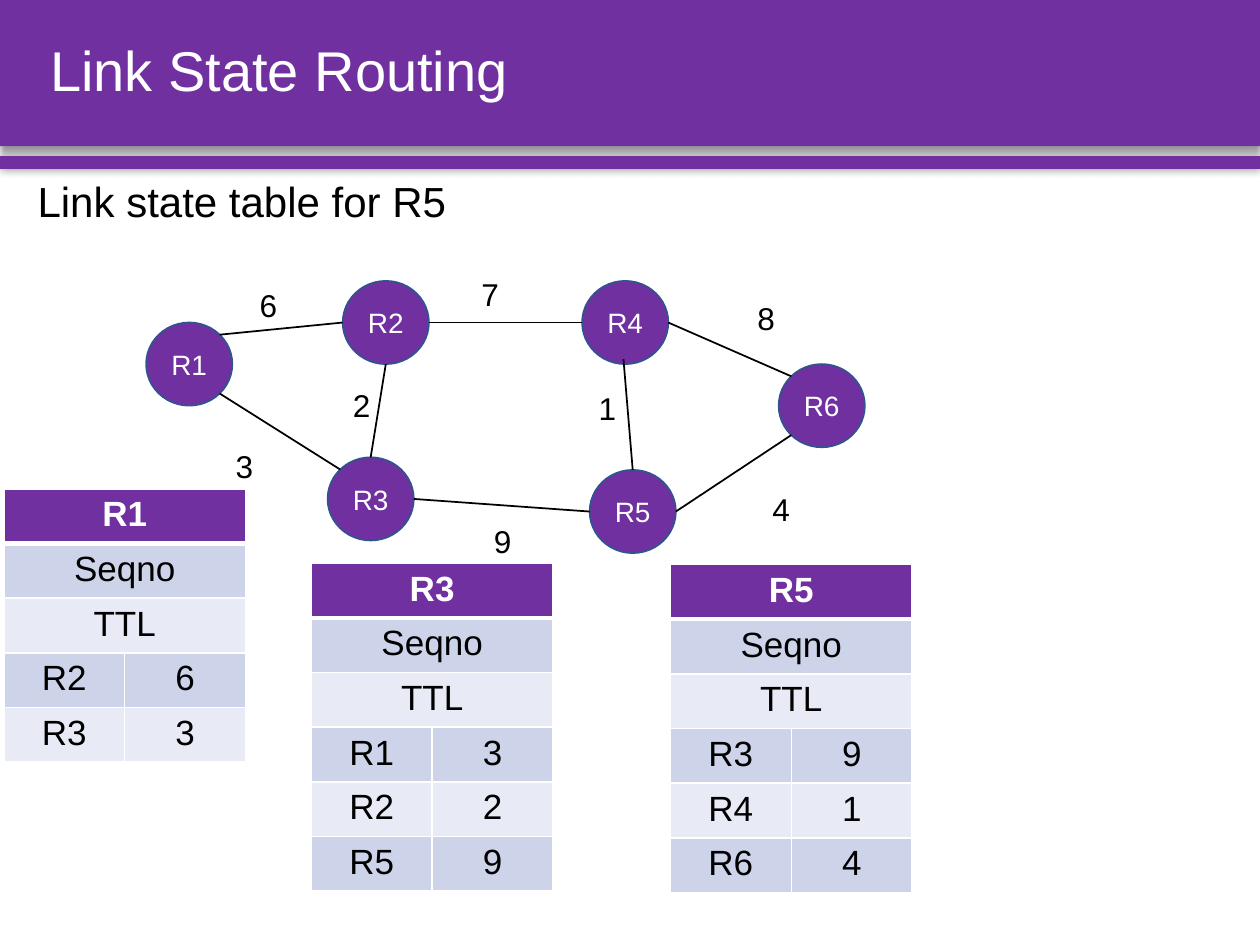
from dataclasses import dataclass
from enum import Enum
from math import sqrt

from lxml.etree import SubElement
from pptx import Presentation
from pptx.dml.color import RGBColor
from pptx.enum.shapes import MSO_CONNECTOR, MSO_SHAPE
from pptx.enum.text import MSO_ANCHOR, PP_ALIGN
from pptx.oxml import parse_xml
from pptx.oxml.ns import nsdecls, qn
from pptx.util import Inches, Pt


@dataclass(frozen=True)
class Theme:
    font: str = "Arial"
    purple: str = "7030A0"
    outline: str = "31538F"
    white: str = "FFFFFF"
    black: str = "000000"
    bands: tuple = ("CDD4EA", "E8EBF5")
    title_size: int = 32
    subtitle_size: int = 24
    table_size: int = 20
    weight_size: int = 18
    router_size: int = 16


THEME = Theme()

# Grid of 100 columns by 75 rows; all places below are (column, row)
COLUMNS, ROWS = 100, 75
SLIDE_WIDTH, SLIDE_HEIGHT = Inches(10), Inches(7.5)
ROUTER_WIDTH, ROUTER_HEIGHT = 6.84, 6.6
WEIGHT_WIDTH, WEIGHT_HEIGHT = 5.6, 3.8
CELL_WIDTH, CELL_HEIGHT = 9.6, 4.13
DIAGONAL = sqrt(0.5)


class Site(Enum):
    """Points on a router's rim, in radii from its centre."""
    TOP = (0, -1)
    BOTTOM = (0, 1)
    LEFT = (-1, 0)
    RIGHT = (1, 0)
    TOP_LEFT = (-DIAGONAL, -DIAGONAL)
    BOTTOM_LEFT = (-DIAGONAL, DIAGONAL)
    TOP_RIGHT = (DIAGONAL, -DIAGONAL)
    BOTTOM_RIGHT = (DIAGONAL, DIAGONAL)
    INNER_BOTTOM = (-0.04, 0.88)


@dataclass(frozen=True)
class Link:
    start: str
    start_site: Site
    end: str
    end_site: Site
    weight: int
    weight_place: tuple


@dataclass(frozen=True)
class StateTable:
    router: str
    place: tuple
    neighbours: tuple


ROUTERS = {
    "R1": (11.6, 25.6), "R2": (27.2, 22.3), "R4": (46.2, 22.3),
    "R6": (61.8, 28.9), "R3": (26, 36.3), "R5": (46.8, 37.3),
}
LINKS = (
    Link("R1", Site.TOP_RIGHT, "R2", Site.LEFT, 6, (18.5, 22.3)),
    Link("R1", Site.BOTTOM_RIGHT, "R3", Site.TOP_LEFT, 3, (16.6, 35.1)),
    Link("R3", Site.RIGHT, "R5", Site.LEFT, 9, (37.1, 41)),
    Link("R2", Site.RIGHT, "R4", Site.LEFT, 7, (36.1, 21.4)),
    Link("R4", Site.RIGHT, "R6", Site.TOP_LEFT, 8, (58, 23.3)),
    Link("R5", Site.RIGHT, "R6", Site.BOTTOM_LEFT, 4, (59.2, 38.5)),
    Link("R3", Site.TOP, "R2", Site.BOTTOM, 2, (25.9, 30.2)),
    Link("R5", Site.TOP, "R4", Site.INNER_BOTTOM, 1, (45.4, 30.5)),
)
STATE_TABLES = (
    StateTable("R1", (0.3, 38.8), ("R2", "R3")),
    StateTable("R3", (24.7, 44.7), ("R1", "R2", "R5")),
    StateTable("R5", (53.2, 44.8), ("R3", "R4", "R6")),
)


def grid(column: float, row: float) -> tuple:
    return int(SLIDE_WIDTH * column / COLUMNS), int(SLIDE_HEIGHT * row / ROWS)


def color(value: str) -> RGBColor:
    return RGBColor.from_string(value)


def write(frame, text: str, size: int, ink: str, align=PP_ALIGN.CENTER, bold=False):
    paragraph = frame.paragraphs[0]
    paragraph.alignment = align
    run = paragraph.add_run()
    run.text = text
    run.font.name, run.font.size, run.font.bold = THEME.font, Pt(size), bold
    run.font.color.rgb = color(ink)
    return paragraph


def add_label(slide, place: tuple, size: tuple, text: str, type_size: int, ink: str,
              align=PP_ALIGN.LEFT, anchor=MSO_ANCHOR.MIDDLE):
    frame = slide.shapes.add_textbox(*grid(*place), *grid(*size)).text_frame
    frame.word_wrap = True
    frame.vertical_anchor = anchor
    return write(frame, text, type_size, ink, align)


def add_bar(slide, top: float, height: float, blur: int, distance: int, angle: int) -> None:
    shape = slide.shapes.add_shape(
        MSO_SHAPE.RECTANGLE, *grid(0, top), *grid(COLUMNS, height))
    shape.fill.solid()
    shape.fill.fore_color.rgb = color(THEME.purple)
    shape.line.fill.background()
    shape._element.spPr.append(parse_xml(
        f'<a:effectLst {nsdecls("a")}><a:outerShdw blurRad="{Pt(blur)}" '
        f'dist="{Pt(distance)}" dir="{angle * 60000}" algn="t" rotWithShape="0">'
        f'<a:srgbClr val="{THEME.black}"><a:alpha val="40000"/></a:srgbClr>'
        '</a:outerShdw></a:effectLst>'))


def add_router(slide, name: str, place: tuple) -> None:
    shape = slide.shapes.add_shape(
        MSO_SHAPE.FLOWCHART_CONNECTOR, *grid(*place), *grid(ROUTER_WIDTH, ROUTER_HEIGHT))
    shape.shadow.inherit = False
    shape.fill.solid()
    shape.fill.fore_color.rgb = color(THEME.purple)
    shape.line.color.rgb = color(THEME.outline)
    shape.line.width = Pt(1)
    shape.text_frame.vertical_anchor = MSO_ANCHOR.MIDDLE
    write(shape.text_frame, name, THEME.router_size, THEME.white)


def rim_point(router: str, site: Site) -> tuple:
    (column, row), (across, down) = ROUTERS[router], site.value
    return grid(column + ROUTER_WIDTH / 2 * (1 + across),
                row + ROUTER_HEIGHT / 2 * (1 + down))


def add_link(slide, link: Link) -> None:
    connector = slide.shapes.add_connector(
        MSO_CONNECTOR.STRAIGHT, *rim_point(link.start, link.start_site),
        *rim_point(link.end, link.end_site))
    connector.line.color.rgb = color(THEME.black)
    connector.line.width = Pt(1)
    SubElement(connector._element.spPr, qn("a:effectLst"))
    add_label(slide, link.weight_place, (WEIGHT_WIDTH, WEIGHT_HEIGHT), str(link.weight),
              THEME.weight_size, THEME.black, PP_ALIGN.CENTER)


def style_cell(cell, fill: str, bottom_width: int) -> None:
    cell.fill.solid()
    cell.fill.fore_color.rgb = color(fill)
    properties = cell._tc.get_or_add_tcPr()
    for index, side in enumerate("LRTB"):
        width = bottom_width if side == "B" else 1
        properties.insert(index, parse_xml(
            f'<a:ln{side} {nsdecls("a")} w="{Pt(width)}"><a:solidFill>'
            f'<a:srgbClr val="{THEME.white}"/></a:solidFill></a:ln{side}>'))


def add_state_table(slide, state: StateTable) -> None:
    weights = {frozenset((link.start, link.end)): link.weight for link in LINKS}
    rows = [(state.router,), ("Seqno",), ("TTL",)]
    rows += [(name, str(weights[frozenset((state.router, name))]))
             for name in state.neighbours]
    table = slide.shapes.add_table(
        len(rows), 2, *grid(*state.place),
        *grid(2 * CELL_WIDTH, len(rows) * CELL_HEIGHT)).table
    for row_index, values in enumerate(rows):
        header = row_index == 0
        fill = THEME.purple if header else THEME.bands[(row_index - 1) % 2]
        for column_index in range(2):
            style_cell(table.cell(row_index, column_index), fill, 3 if header else 1)
        if len(values) == 1:
            table.cell(row_index, 0).merge(table.cell(row_index, 1))
        for column_index, value in enumerate(values):
            write(table.cell(row_index, column_index).text_frame, value, THEME.table_size,
                  THEME.white if header else THEME.black, bold=header)


def main() -> None:
    presentation = Presentation()
    presentation.slide_width, presentation.slide_height = SLIDE_WIDTH, SLIDE_HEIGHT
    slide = presentation.slides.add_slide(presentation.slide_layouts[6])

    # Title band and subtitle
    add_bar(slide, 0, 11.6, blur=4, distance=3, angle=90)
    add_bar(slide, 12.4, 1, blur=5, distance=0, angle=0)
    title = add_label(slide, (3, 0), (94.6, 11.6), "Link State Routing",
                      THEME.title_size, THEME.white)
    title.line_spacing = 0.9
    add_label(slide, (2, 13.4), (57.2, 4), "Link state table for R5",
              THEME.subtitle_size, THEME.black, anchor=MSO_ANCHOR.TOP)

    # Network of routers and weighted links
    for name, place in ROUTERS.items():
        add_router(slide, name, place)
    for link in LINKS:
        add_link(slide, link)

    # Link state tables
    for state in STATE_TABLES:
        add_state_table(slide, state)

    presentation.save("out.pptx")


if __name__ == "__main__":
    main()
